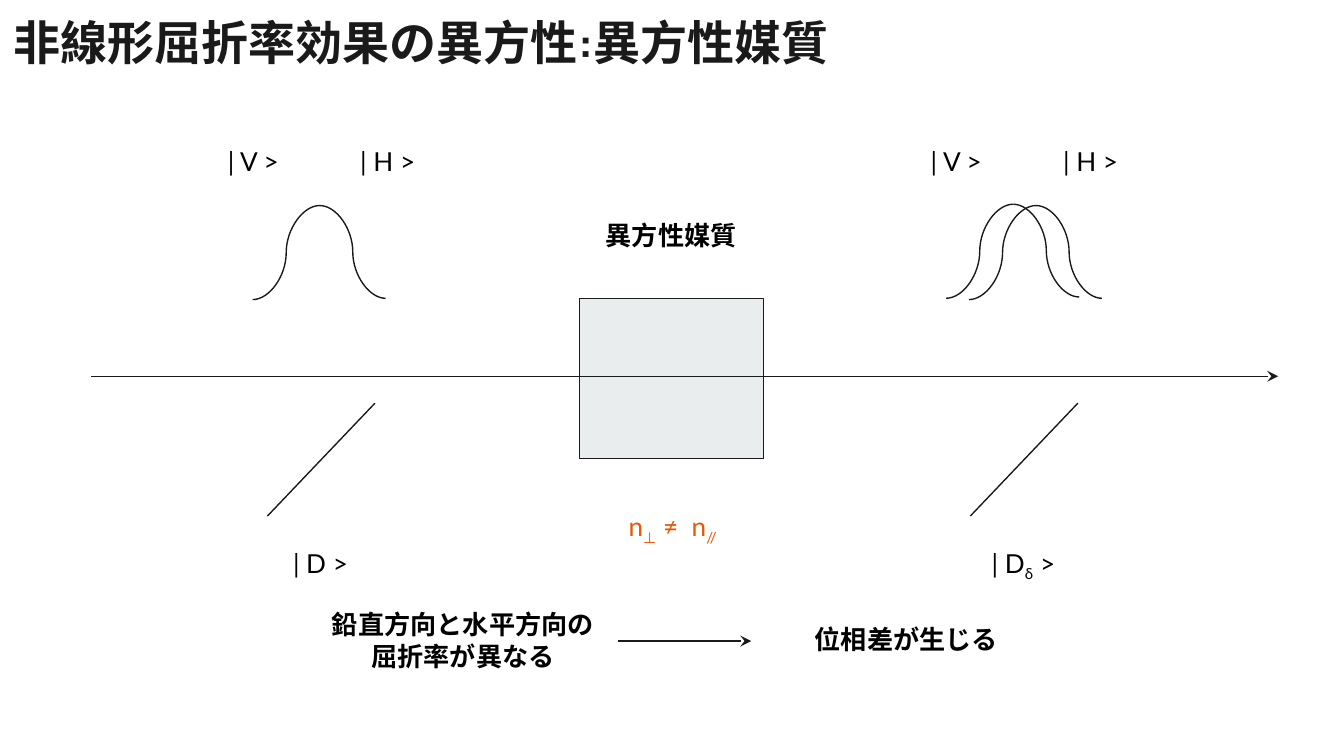
from dataclasses import dataclass

from pptx import Presentation
from pptx.dml.color import RGBColor
from pptx.enum.shapes import MSO_CONNECTOR as Link, MSO_SHAPE as Shape
from pptx.enum.text import PP_ALIGN as Align
from pptx.oxml.ns import qn
from pptx.util import Inches, Pt
from lxml.etree import SubElement


@dataclass(frozen=True)
class Theme:
    ink: RGBColor = RGBColor(0x1A, 0x1A, 0x1A)
    text: RGBColor = RGBColor(0, 0, 0)
    accent: RGBColor = RGBColor(0xEB, 0x56, 0x00)
    medium: RGBColor = RGBColor(0xE9, 0xED, 0xEE)
    title_font: str = "Manrope"
    body_font: str = "Lato"
    title_size: float = 25.2
    body_size: float = 14
    line_width: float = 0.75


THEME = Theme()
LABEL_WIDTH, LABEL_HEIGHT = 0.99, 0.44
CAPTION_WIDTH = 2.31
OUTPUT_SHIFT = 5.23  # from the input side of the medium to the output side


def add_text(page, left, top, width, height, *spans, bold=False, color=THEME.text,
             font=THEME.body_font, size=THEME.body_size, align=Align.CENTER):
    """Add a text box; every second span is a subscript."""
    box = page.shapes.add_textbox(Inches(left), Inches(top), Inches(width), Inches(height))
    frame = box.text_frame
    frame.word_wrap = True
    frame.margin_left = frame.margin_right = Inches(0.1)
    frame.margin_top = frame.margin_bottom = Inches(0.1)
    para = frame.paragraphs[0]
    para.alignment = align
    para.font.name, para.font.size, para.font.bold = font, Pt(size), bold
    para.font.color.rgb = color
    for index, text in enumerate(spans):
        span = para.add_run()
        span.text = text
        if index % 2:
            span.font._element.set("baseline", "-25000")


def add_label(page, left, top, *spans):
    add_text(page, left, top, LABEL_WIDTH, LABEL_HEIGHT, *spans)


def add_caption(page, left, top, text, height=LABEL_HEIGHT):
    add_text(page, left, top, CAPTION_WIDTH, height, text, bold=True)


def add_line(page, start, end, kind=Link.STRAIGHT, arrow=False):
    line = page.shapes.add_connector(kind, *map(Inches, start + end))
    line.line.color.rgb = THEME.ink
    line.line.width = Pt(THEME.line_width)
    if arrow:
        SubElement(line.line._get_or_add_ln(), qn("a:tailEnd"), type="stealth")
    SubElement(line._element.spPr, qn("a:effectLst"))


def add_pulse(page, left, top):
    """Draw a bell-shaped pulse from two curves meeting at its peak."""
    peak = (left + 0.5, top)
    add_line(page, (left, top + 0.7), peak, Link.CURVE)
    add_line(page, (left + 0.99, top + 0.69), peak, Link.CURVE)


def add_polarization(page, shift, *diagonal_label):
    """Draw the state labels and the diagonal on one side of the medium."""
    add_label(page, 1.39 + shift, 0.98, "| V >")
    add_label(page, 2.39 + shift, 0.98, "| H >")
    add_line(page, (2.79 + shift, 3), (1.99 + shift, 3.84))
    add_label(page, 1.89 + shift, 3.97, *diagonal_label)


def add_medium(page):
    medium = page.shapes.add_shape(
        Shape.RECTANGLE, Inches(4.31), Inches(2.22), Inches(1.37), Inches(1.19))
    medium.shadow.inherit = False
    medium.fill.solid()
    medium.fill.fore_color.rgb = THEME.medium
    medium.line.color.rgb = THEME.ink
    medium.line.width = Pt(THEME.line_width)
    add_caption(page, 3.84, 1.53, "異方性媒質")
    add_text(page, 4.17, 3.7, 1.67, LABEL_HEIGHT, "n", "⊥", " ≠  n", "//",
             color=THEME.accent)


def main():
    deck = Presentation()
    deck.slide_width = Inches(10)
    deck.slide_height = deck.slide_width * 9 // 16
    page = deck.slides.add_slide(deck.slide_layouts[6])

    add_text(page, 0, 0, 8.41, 0.59, "非線形屈折率効果の異方性:異方性媒質", bold=True,
             color=THEME.ink, font=THEME.title_font, size=THEME.title_size,
             align=Align.LEFT)

    for left, top in ((1.88, 1.53), (7.21, 1.53), (7.04, 1.52)):
        add_pulse(page, left, top)
    add_polarization(page, 0, "| D >")
    add_polarization(page, OUTPUT_SHIFT, "| D", "δ", " >")

    add_medium(page)
    add_line(page, (0.68, 2.8), (9.51, 2.8), arrow=True)

    add_caption(page, 2.29, 4.43, "鉛直方向と水平方向の屈折率が異なる", height=0.67)
    add_line(page, (4.6, 4.77), (5.59, 4.77), arrow=True)
    add_caption(page, 5.59, 4.54, "位相差が生じる")

    deck.save("out.pptx")


if __name__ == "__main__":
    main()
